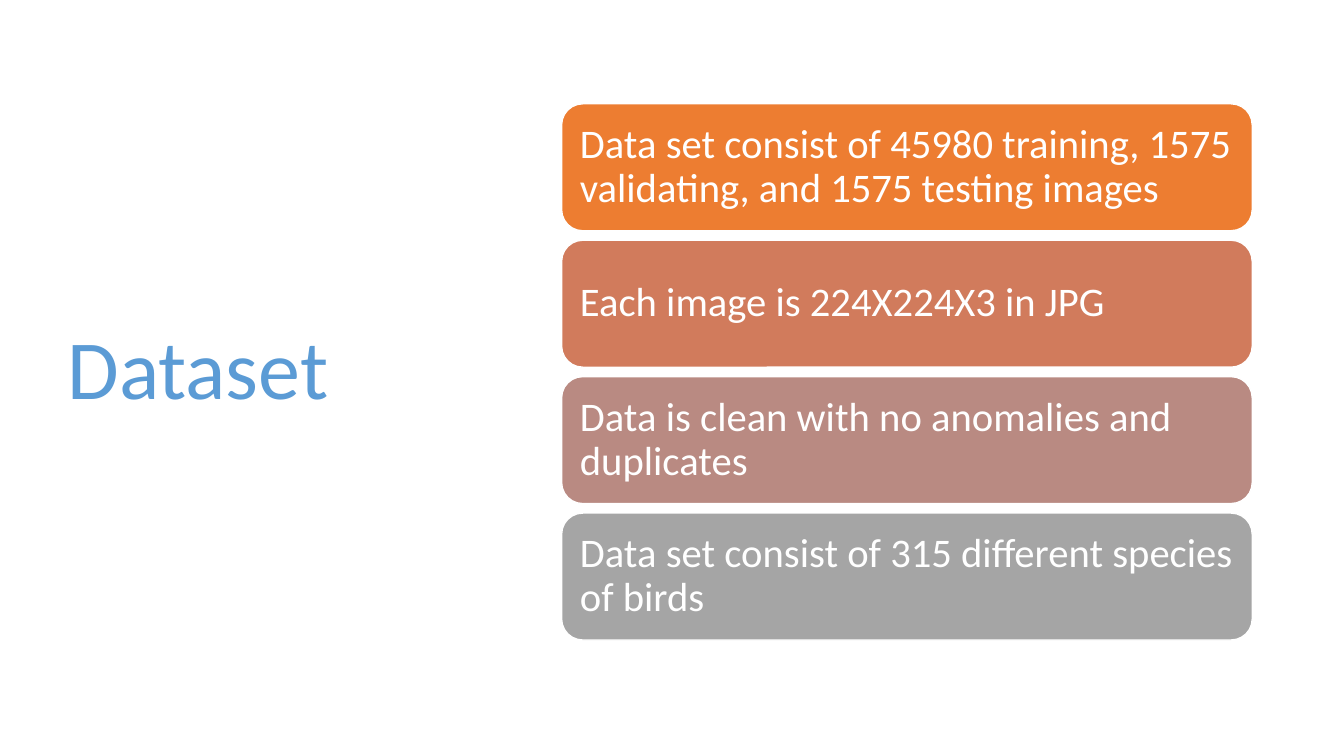
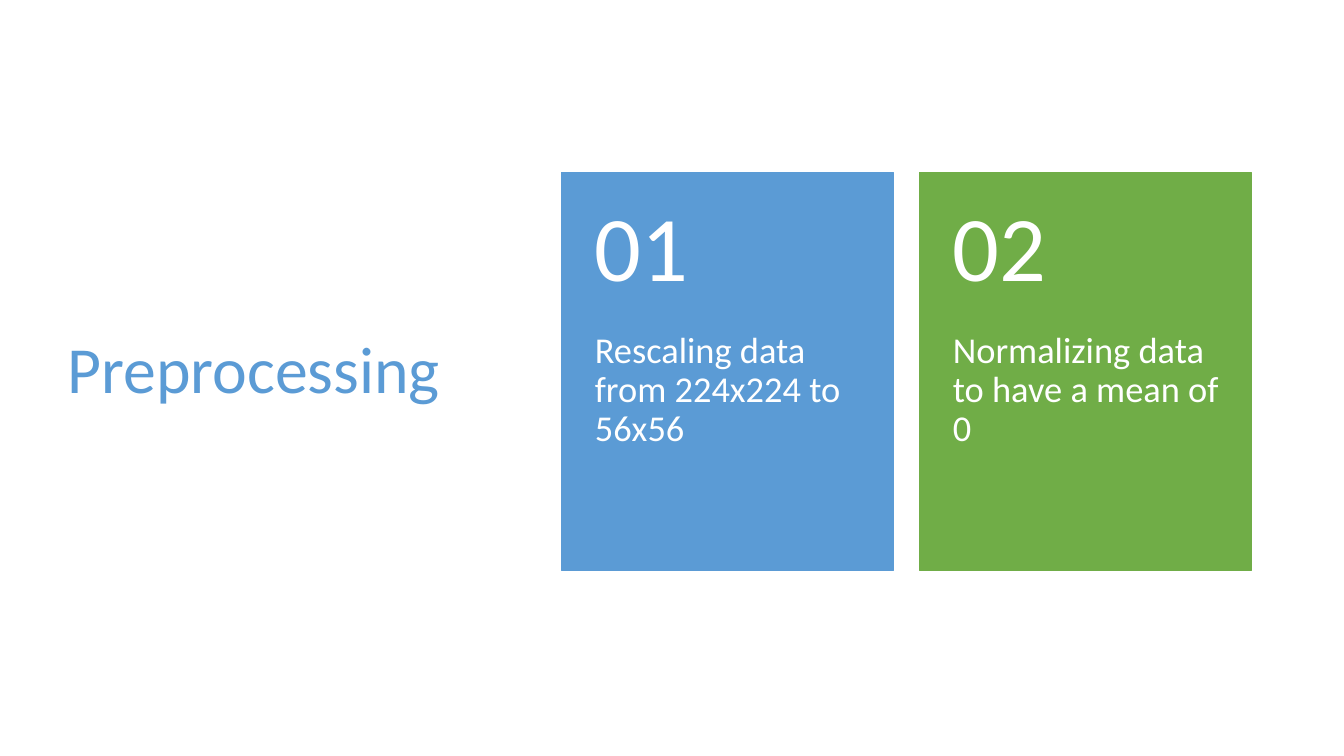
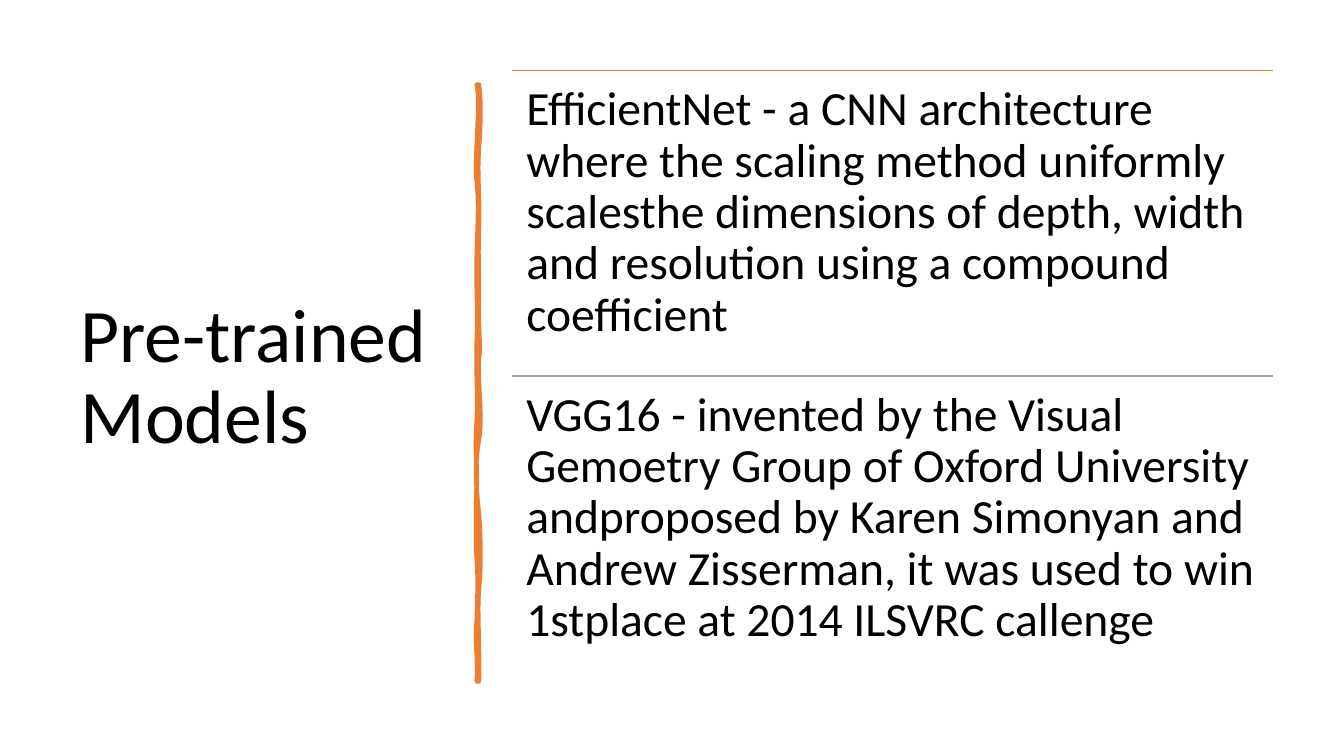
from dataclasses import dataclass

from lxml import etree
from pptx import Presentation
from pptx.dml.color import RGBColor
from pptx.enum.shapes import MSO_CONNECTOR, MSO_SHAPE
from pptx.enum.text import MSO_ANCHOR, PP_ALIGN
from pptx.oxml.ns import qn
from pptx.shapes.autoshape import Shape
from pptx.slide import Slide
from pptx.util import Inches, Pt

RECTANGLE = MSO_SHAPE.RECTANGLE
ROUNDED = MSO_SHAPE.ROUNDED_RECTANGLE
STRAIGHT = MSO_CONNECTOR.STRAIGHT
TOP, MIDDLE = MSO_ANCHOR.TOP, MSO_ANCHOR.MIDDLE
LEFT = PP_ALIGN.LEFT


@dataclass(frozen=True)
class Theme:
    font: str = "Calibri"
    line_spacing: float = 0.9
    white: str = "FFFFFF"
    black: str = "000000"
    blue: str = "5B9BD5"
    green: str = "70AD47"
    orange: str = "ED7D31"
    rust: str = "D17B5C"
    rose: str = "B98A82"
    gray: str = "A5A5A5"
    dataset_title_size: int = 60
    preprocessing_title_size: int = 47
    models_title_size: int = 54
    fact_size: int = 29
    step_size: int = 26
    number_size: int = 66
    model_size: int = 34
    thin_line: float = 1
    brush_line: float = 3.25


THEME = Theme()


@dataclass(frozen=True)
class Box:
    """A rectangle in inches."""
    left: float
    top: float
    width: float
    height: float

    def lengths(self) -> tuple:
        return tuple(Inches(v) for v in (self.left, self.top, self.width, self.height))


@dataclass(frozen=True)
class TextStyle:
    size: int
    color: str
    anchor: MSO_ANCHOR = MIDDLE
    insets: tuple = (0.1, 0.05, 0.1, 0.05)  # left, top, right, bottom


@dataclass(frozen=True)
class Item:
    """One repeated entry: its text and its accent colour."""
    text: str
    color: str


FACT_STYLE = TextStyle(THEME.fact_size, THEME.white, insets=(0.12,) * 4)
NUMBER_STYLE = TextStyle(THEME.number_size, THEME.white, insets=(0.33, 0.18, 0.32, 0.18))
STEP_STYLE = TextStyle(THEME.step_size, THEME.white, TOP, (0.33, 0, 0.32, 0.36))
MODEL_STYLE = TextStyle(THEME.model_size, THEME.black, TOP, (0.14,) * 4)

TITLE_BOX = Box(0.57, 0.68, 4.16, 6.02)
NARROW_TITLE_BOX = Box(0.7, 0.7, 3.73, 6.11)

FACTS = (
    Item("Data set consist of 45980 training, 1575 validating, and 1575 testing images", THEME.orange),
    Item("Each image is 224X224X3 in JPG", THEME.rust),
    Item("Data is clean with no anomalies and duplicates", THEME.rose),
    Item("Data set consist of 315 different species of birds", THEME.gray),
)
STEPS = (
    Item("Rescaling data from 224x224 to 56x56", THEME.blue),
    Item("Normalizing data to have a mean of 0", THEME.green),
)
MODELS = (
    Item("EfficientNet - a CNN architecture where the scaling method uniformly "
         "scalesthe dimensions of depth, width and resolution using a compound "
         "coefficient", THEME.orange),
    Item("VGG16 - invented by the Visual Gemoetry Group of Oxford University "
         "andproposed by Karen Simonyan and Andrew Zisserman, it was used to win "
         "1stplace at 2014 ILSVRC callenge", THEME.gray),
)

# Brush stroke outline: start, then cubic segments (two controls and an end)
BRUSH_START = (4.75, 0.84)
BRUSH_CURVES = (
    ((4.77, 1.02), (4.77, 1.19), (4.75, 1.46)),
    ((4.73, 1.73), (4.76, 1.95), (4.75, 2.26)),
    ((4.74, 2.57), (4.75, 2.62), (4.75, 2.94)),
    ((4.74, 3.25), (4.77, 3.42), (4.75, 3.56)),
    ((4.73, 3.7), (4.79, 4.14), (4.75, 4.36)),
    ((4.71, 4.57), (4.72, 4.84), (4.75, 5.1)),
    ((4.77, 5.36), (4.77, 5.64), (4.75, 5.84)),
    ((4.73, 6.03), (4.76, 6.5), (4.75, 6.76)),
    ((4.74, 6.76), (4.73, 6.76), (4.73, 6.76)),
    ((4.74, 6.46), (4.71, 6.44), (4.73, 6.13)),
    ((4.74, 5.83), (4.74, 5.7), (4.73, 5.57)),
    ((4.72, 5.44), (4.72, 4.95), (4.73, 4.77)),
    ((4.73, 4.59), (4.71, 4.45), (4.73, 4.15)),
    ((4.74, 3.86), (4.72, 3.73), (4.73, 3.35)),
    ((4.74, 2.98), (4.72, 2.81), (4.73, 2.5)),
    ((4.74, 2.18), (4.75, 2), (4.73, 1.81)),
    ((4.7, 1.63), (4.77, 1.04), (4.73, 0.84)),
    ((4.74, 0.84), (4.74, 0.84), (4.75, 0.84)),
)


# Shared drawing functions
def set_text(shape: Shape, text: str, style: TextStyle) -> None:
    frame = shape.text_frame
    frame.word_wrap = True
    frame.vertical_anchor = style.anchor
    (frame.margin_left, frame.margin_top,
     frame.margin_right, frame.margin_bottom) = (Inches(v) for v in style.insets)
    paragraph = frame.paragraphs[0]
    paragraph.text = text
    paragraph.alignment = LEFT
    paragraph.line_spacing = THEME.line_spacing
    font = paragraph.runs[0].font
    font.name = THEME.font
    font.size = Pt(style.size)
    font.color.rgb = RGBColor.from_string(style.color)


def add_text(slide: Slide, box: Box, text: str, style: TextStyle) -> None:
    set_text(slide.shapes.add_textbox(*box.lengths()), text, style)


def paint(shape: Shape, fill: str, line: str, width: float) -> None:
    shape.shadow.inherit = False
    shape.fill.solid()
    shape.fill.fore_color.rgb = RGBColor.from_string(fill)
    shape.line.color.rgb = RGBColor.from_string(line)
    shape.line.width = Pt(width)


def add_panel(slide: Slide, kind: MSO_SHAPE, box: Box, fill: str, line: str) -> Shape:
    panel = slide.shapes.add_shape(kind, *box.lengths())
    paint(panel, fill, line, THEME.thin_line)
    return panel


def add_rule(slide: Slide, box: Box, color: str) -> None:
    """Draw a line along the top edge of a box."""
    left, top, width, _ = box.lengths()
    rule = slide.shapes.add_connector(STRAIGHT, left, top, left + width, top)
    rule.line.color.rgb = RGBColor.from_string(color)
    rule.line.width = Pt(THEME.thin_line)
    etree.SubElement(rule.element.spPr, qn("a:effectLst"))


def curve_segments(shape: Shape) -> None:
    """Turn every three straight segments of a freeform into one cubic curve."""
    segments = list(shape.element.iter(qn("a:lnTo")))
    for index in range(0, len(segments), 3):
        curve = etree.Element(qn("a:cubicBezTo"))
        segments[index].addprevious(curve)
        for segment in segments[index:index + 3]:
            curve.append(segment[0])
            segment.getparent().remove(segment)


def add_brush_stroke(slide: Slide) -> None:
    start_x, start_y = (Inches(v) for v in BRUSH_START)
    builder = slide.shapes.build_freeform(start_x, start_y)
    points = [(Inches(x), Inches(y)) for curve in BRUSH_CURVES for x, y in curve]
    builder.add_line_segments(points, close=True)
    brush = builder.convert_to_shape()
    curve_segments(brush)
    paint(brush, THEME.orange, THEME.orange, THEME.brush_line)
    etree.SubElement(brush.element.spPr.find(qn("a:ln")), qn("a:round"))


def add_slide(presentation: Presentation, title: str, box: Box, size: int, color: str) -> Slide:
    slide = presentation.slides.add_slide(presentation.slide_layouts[6])
    add_text(slide, box, title, TextStyle(size, color))
    return slide


# Slides
def build_dataset(presentation: Presentation) -> None:
    slide = add_slide(presentation, "Dataset", TITLE_BOX,
                      THEME.dataset_title_size, THEME.blue)
    area = Box(5.57, 1.03, 6.85, 5.32)
    height = 1.26
    pitch = (area.height - height) / (len(FACTS) - 1)
    for index, fact in enumerate(FACTS):
        box = Box(area.left, area.top + index * pitch, area.width, height)
        panel = add_panel(slide, ROUNDED, box, fact.color, THEME.white)
        set_text(panel, fact.text, FACT_STYLE)


def build_preprocessing(presentation: Presentation) -> None:
    slide = add_slide(presentation, "Preprocessing", TITLE_BOX,
                      THEME.preprocessing_title_size, THEME.blue)
    left, top, width, gap = 5.57, 1.71, 3.29, 0.26
    number_height, text_height = 1.58, 2.37
    for index, step in enumerate(STEPS):
        x = left + index * (width + gap)
        card = Box(x, top, width, number_height + text_height)
        add_panel(slide, RECTANGLE, card, step.color, step.color)
        add_text(slide, Box(x, top + number_height, width, text_height), step.text, STEP_STYLE)
        add_text(slide, Box(x, top, width, number_height), f"{index + 1:02}", NUMBER_STYLE)


def build_models(presentation: Presentation) -> None:
    slide = add_slide(presentation, "Pre-trained Models", NARROW_TITLE_BOX,
                      THEME.models_title_size, THEME.black)
    add_brush_stroke(slide)
    height = 3.03
    for index, model in enumerate(MODELS):
        box = Box(5.08, 0.7 + index * height, 7.55, height)
        add_rule(slide, box, model.color)
        add_text(slide, box, model.text, MODEL_STYLE)


def main() -> None:
    presentation = Presentation()
    presentation.slide_width = Inches(13.33)
    presentation.slide_height = Inches(7.5)
    build_dataset(presentation)
    build_preprocessing(presentation)
    build_models(presentation)
    presentation.save("out.pptx")


if __name__ == "__main__":
    main()
